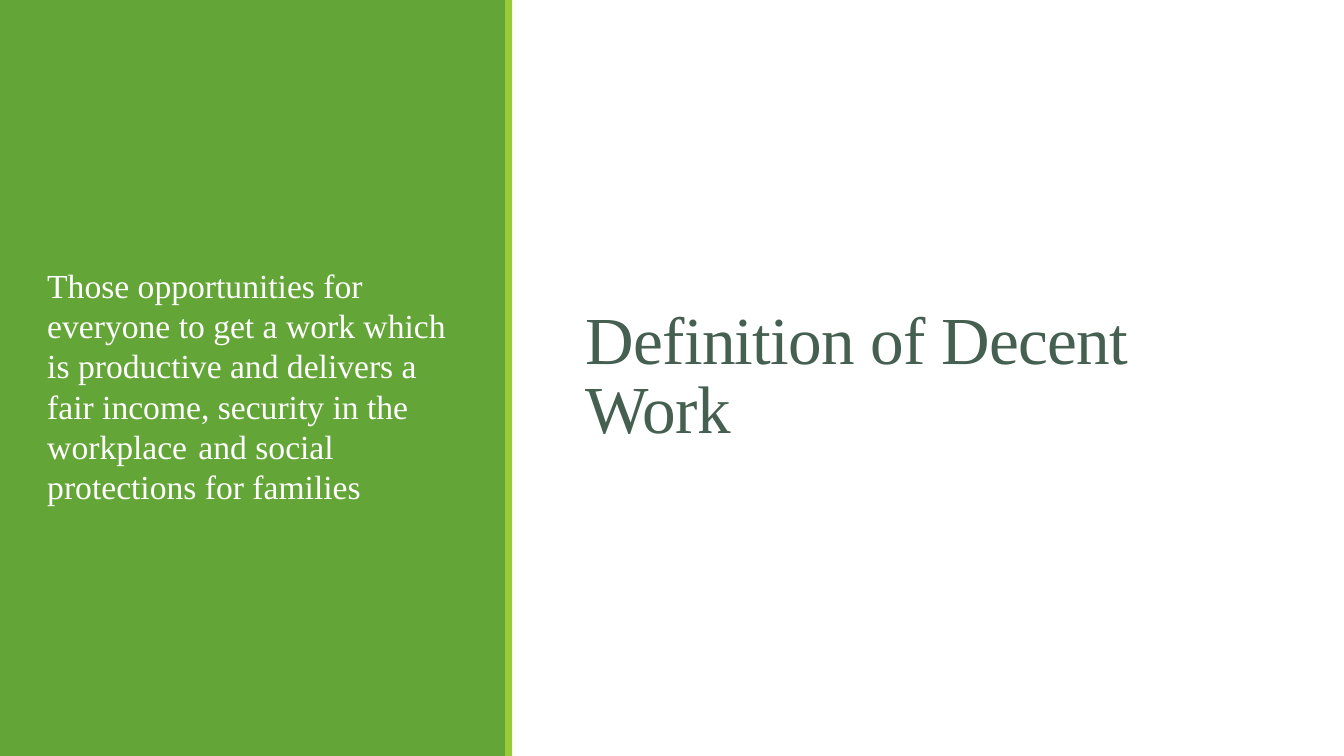
"""Build the slide that defines decent work."""
from lxml.etree import SubElement
from pptx import Presentation
from pptx.dml.color import RGBColor
from pptx.enum.shapes import MSO_SHAPE
from pptx.enum.text import MSO_ANCHOR, PP_ALIGN
from pptx.oxml.ns import qn
from pptx.util import Inches, Pt

TITLE = "Definition of Decent Work"
DEFINITION = ("Those opportunities for everyone to get a work which is productive and delivers "
              "a fair income, security in the workplace \tand social protections for families")
COLORS = {"panel": "63A537", "stripe": "99CB38", "title": "455F51", "white": "FFFFFF"}
FONT = "Times New Roman"
WIDTH, HEIGHT = 13.33, 7.5
PANEL_W, STRIPE_W = 5.01, 0.07
BOTTOM = 6.45
TITLE_BOX = (5.71, 1.06, 6.56, BOTTOM - 1.06)
DEFINITION_BOX = (0.37, 1.2, 4.28, BOTTOM - 1.2)
TAB_STOP = 1.5


def color(name):
    return RGBColor.from_string(COLORS[name])


def add_block(s, box, fill):
    sp = s.shapes.add_shape(MSO_SHAPE.RECTANGLE, *map(Inches, box))
    sp.shadow.inherit = False
    sp.fill.solid()
    sp.fill.fore_color.rgb = color(fill)
    sp.line.fill.background()
    return sp


def write(sp, text, size, ink):
    tf = sp.text_frame
    tf.word_wrap = True
    tf.vertical_anchor = MSO_ANCHOR.MIDDLE
    p = tf.paragraphs[0]
    p.text = text
    p.alignment = PP_ALIGN.LEFT
    for r in p.runs:
        r.font.name, r.font.size = FONT, Pt(size)
        r.font.color.rgb = color(ink)
    return p


def main():
    prs = Presentation()
    prs.slide_width, prs.slide_height = Inches(WIDTH), Inches(HEIGHT)
    s = prs.slides.add_slide(prs.slide_layouts[6])

    p = write(s.shapes.add_textbox(*map(Inches, TITLE_BOX)), TITLE, 48, "title")
    p.line_spacing = 0.85
    p.runs[0].font._element.set("spc", "-50")

    add_block(s, (0, 0, PANEL_W, HEIGHT), "panel")
    add_block(s, (PANEL_W, 0, STRIPE_W, HEIGHT), "stripe")

    sp = add_block(s, DEFINITION_BOX, "panel")
    sp.line.color.rgb = color("panel")
    sp.line.width = Pt(1.25)
    p = write(sp, DEFINITION, 24, "white")
    tabs = SubElement(p._p.get_or_add_pPr(), qn("a:tabLst"))
    SubElement(tabs, qn("a:tab"), pos=str(Inches(TAB_STOP)), algn="l")

    prs.save("out.pptx")


if __name__ == "__main__":
    main()
